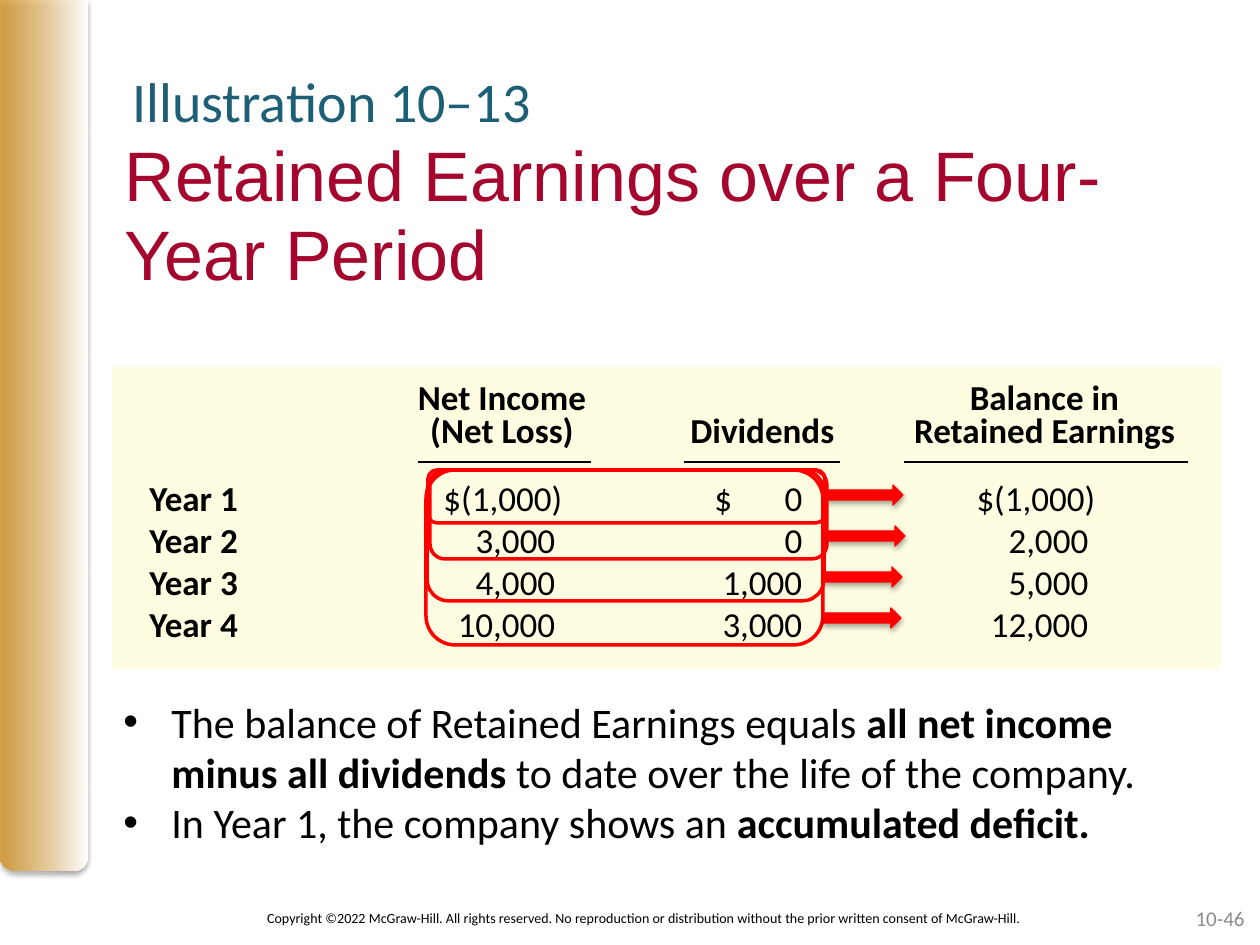
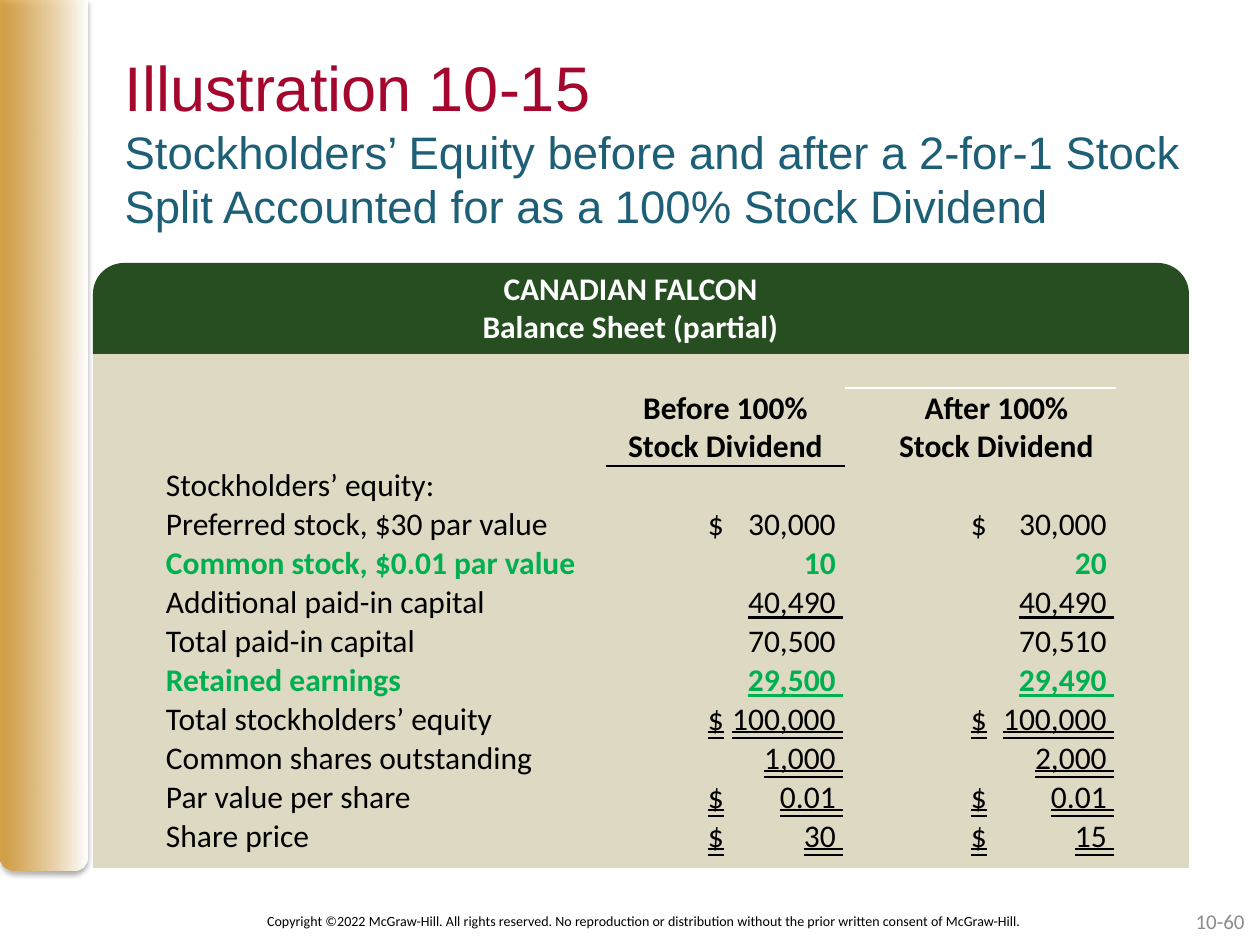
from lxml.etree import SubElement
from pptx import Presentation
from pptx.dml.color import RGBColor
from pptx.enum.shapes import MSO_CONNECTOR, MSO_SHAPE
from pptx.enum.text import MSO_ANCHOR, MSO_AUTO_SIZE, MSO_UNDERLINE, PP_ALIGN
from pptx.oxml.ns import qn
from pptx.util import Pt

PX = 7257  # EMU per px, 126 px to the inch
BLACK = RGBColor(0x00, 0x00, 0x00)
WHITE = RGBColor(0xFF, 0xFF, 0xFF)
CRIMSON = RGBColor(0xA5, 0x06, 0x2D)
TEAL = RGBColor(0x1D, 0x5F, 0x76)
GOLD = RGBColor(0xD4, 0x93, 0x23)
GREY = RGBColor(0x8C, 0x8C, 0x8C)
CREAM = RGBColor(0xFE, 0xFD, 0xD7)
RED = RGBColor(0xFF, 0x00, 0x00)
SAND = RGBColor(0xDD, 0xD9, 0xC3)
FOREST = RGBColor(0x26, 0x4E, 0x21)
GREEN = RGBColor(0x00, 0xB0, 0x50)
NO_STYLE = "{2D5ABB26-0587-4C30-8999-92F81FD0307C}"
COPYRIGHT = ("Copyright ©2022 McGraw-Hill. All rights reserved. No reproduction or "
             "distribution without the prior written consent of McGraw-Hill.")


def write(frame, lines, size, color=BLACK, bold=False, align=PP_ALIGN.LEFT,
          spacing=None, tabs=()):
    """Put one paragraph per line; text between ** marks has the other weight."""
    frame.word_wrap = True
    for i, line in enumerate(lines):
        paragraph = frame.add_paragraph() if i else frame.paragraphs[0]
        paragraph.alignment = align
        if spacing:
            paragraph.line_spacing = spacing
        if tabs:
            tab_list = SubElement(paragraph._p.get_or_add_pPr(), qn("a:tabLst"))
            for position, kind in tabs:
                SubElement(tab_list, qn("a:tab"), pos=str(position * PX), algn=kind)
        for part_no, part in enumerate(line.split("**")):
            if part:
                run = paragraph.add_run()
                run.text = part
                run.font.name = "Calibri"
                run.font.size = Pt(size)
                run.font.color.rgb = color
                run.font.bold = bold != (part_no % 2 == 1)


def add_box(slide, preset, box, fill=None, line=None, width=0.75, shadow=False):
    shape = slide.shapes.add_shape(preset, *(n * PX for n in box))
    shape.shadow.inherit = False
    if fill is None:
        shape.fill.background()
    else:
        shape.fill.solid()
        shape.fill.fore_color.rgb = fill
    if line is None:
        shape.line.fill.background()
    else:
        shape.line.color.rgb = line
        shape.line.width = Pt(width)
    if shadow:
        effects = shape._element.spPr.find(qn("a:effectLst"))
        outer = SubElement(effects, qn("a:outerShdw"), blurRad="40000", dist="23000",
                           dir="5400000", rotWithShape="0")
        shade = SubElement(outer, qn("a:srgbClr"), val="000000")
        SubElement(shade, qn("a:alpha"), val="35000")
    return shape


prs = Presentation()
prs.slide_width, prs.slide_height = 1260 * PX, 945 * PX

# Shared frame: side band, title, copyright line and page number
pages = [
    ("Retained Earnings over a Four-Year Period", (112, 131, 1134, 158),
     [(40, CRIMSON)], 0.95, "10-46", 893),
    ("Illustration 10-15\vStockholders’ Equity before and after a 2-for-1 Stock "
     "Split Accounted for as a 100% Stock Dividend", (112, 42, 1148, 208),
     [(36, CRIMSON), (26, TEAL)], 1.0, "10-60", 896),
]
slides = []
for title_text, title_box, title_looks, title_spacing, page_number, footer_top in pages:
    slide = prs.slides.add_slide(prs.slide_layouts[5])
    slides.append(slide)

    band = add_box(slide, MSO_SHAPE.ROUND_2_SAME_RECTANGLE, (0, 0, 87, 871), shadow=True)
    band.adjustments[0], band.adjustments[1] = 0, 0.17
    band.fill.gradient()
    band.fill.gradient_angle = 0
    for stop, color in zip(band.fill.gradient_stops, (GOLD, WHITE)):
        stop.color.rgb = color
    gold_stop = band._element.spPr.find(".//" + qn("a:srgbClr"))
    SubElement(gold_stop, qn("a:alpha"), val="80000")

    title = slide.shapes.title
    title.left, title.top, title.width, title.height = (n * PX for n in title_box)
    title.text_frame.text = title_text
    title.text_frame.word_wrap = True
    title.text_frame.auto_size = MSO_AUTO_SIZE.NONE
    title.text_frame.vertical_anchor = MSO_ANCHOR.TOP
    heading = title.text_frame.paragraphs[0]
    heading.alignment = PP_ALIGN.LEFT
    heading.line_spacing = title_spacing
    for run, (size, color) in zip(heading.runs, title_looks):
        run.font.name = "Arial"
        run.font.size = Pt(size)
        run.font.color.rgb = color

    for text, left, width, size, color, align in [
            (COPYRIGHT, 194, 901, 8, BLACK, PP_ALIGN.CENTER),
            (page_number, 963, 294, 12, GREY, PP_ALIGN.RIGHT)]:
        footer = slide.shapes.add_textbox(left * PX, footer_top * PX, width * PX, 50 * PX)
        footer.text_frame.vertical_anchor = MSO_ANCHOR.MIDDLE
        write(footer.text_frame, [text], size, color, align=align)

earnings_slide, equity_slide = slides

# Retained earnings over four years
kicker = earnings_slide.shapes.add_textbox(120 * PX, 60 * PX, 677 * PX, 56 * PX)
write(kicker.text_frame, ["Illustration 10–13"], 32, TEAL)

panel = add_box(earnings_slide, MSO_SHAPE.ROUNDED_RECTANGLE, (112, 367, 1109, 302), CREAM)
panel.adjustments[0] = 0
cream = panel._element.spPr.find(".//" + qn("a:srgbClr"))
SubElement(cream, qn("a:alpha"), val="75000")

column_heads = [
    (["Net Income", "(Net Loss)"], (393, 377, 218, 81), PP_ALIGN.CENTER, (418, 591)),
    (["Dividends"], (678, 410, 218, 48), PP_ALIGN.LEFT, (684, 840)),
    (["Balance in", "Retained Earnings"], (900, 377, 289, 81), PP_ALIGN.CENTER, (904, 1188)),
]
for lines, box, align, (rule_start, rule_end) in column_heads:
    head = earnings_slide.shapes.add_textbox(*(n * PX for n in box))
    write(head.text_frame, lines, 20, bold=True, align=align, spacing=0.8)
    rule = earnings_slide.shapes.add_connector(
        MSO_CONNECTOR.STRAIGHT, rule_start * PX, 462 * PX, rule_end * PX, 462 * PX)
    rule.line.color.rgb = BLACK
    rule.line.width = Pt(0.75)
    SubElement(rule._element.spPr, qn("a:effectLst"))

years = [
    ("$(1,000)", "$\t0", "$(1,000)"),
    ("3,000", "0", "2,000"),
    ("4,000", "1,000", "5,000"),
    ("10,000", "3,000", "12,000"),
]
for i, (income, dividends, balance) in enumerate(years):
    hang = 7 if ")" in income else 0  # closing bracket stands outside the column
    tabs = [(406 + hang, "r"), (653, "r"), (939 + hang, "r")]
    if "$" in dividends:
        tabs.insert(1, (565, "l"))
    year = earnings_slide.shapes.add_textbox(137 * PX, (470 + 42 * i) * PX, 1082 * PX, 55 * PX)
    write(year.text_frame, [f"**Year {i + 1}**\t{income}\t{dividends}\t{balance}"], 20, tabs=tabs)

remarks = earnings_slide.shapes.add_textbox(111 * PX, 690 * PX, 1091 * PX, 165 * PX)
write(remarks.text_frame, [
    "The balance of Retained Earnings equals **all net income minus all dividends** "
    "to date over the life of the company.",
    "In Year 1, the company shows an **accumulated deficit.**"], 24)
for paragraph in remarks.text_frame.paragraphs:
    properties = paragraph._p.get_or_add_pPr()
    properties.set("marL", str(48 * PX))
    properties.set("indent", str(-48 * PX))
    SubElement(properties, qn("a:buFont"), typeface="Arial")
    SubElement(properties, qn("a:buChar"), char="•")

for i, (frame_left, frame_height) in enumerate([(428, 53), (430, 89), (427, 131), (426, 175)]):
    add_box(earnings_slide, MSO_SHAPE.ROUNDED_RECTANGLE,
            (frame_left, 470, 397, frame_height), line=RED, width=2)
    add_box(earnings_slide, MSO_SHAPE.RIGHT_ARROW,
            (frame_left + 398, 485 + 41 * i, 77, 20), RED, RED, shadow=True)

# Stockholders' equity before and after the split
add_box(equity_slide, MSO_SHAPE.RECTANGLE, (93, 352, 1096, 516), SAND)
banner = add_box(equity_slide, MSO_SHAPE.ROUND_2_SAME_RECTANGLE, (93, 263, 1096, 91), FOREST)
banner.adjustments[0] = 0.34

SINGLE, DOUBLE = MSO_UNDERLINE.SINGLE_LINE, MSO_UNDERLINE.DOUBLE_LINE
equity_rows = [
    ("Stockholders’ equity:", "", "", None),
    ("Preferred stock, $30 par value", "$\t30,000", "$\t30,000", None),
    ("Common stock, $0.01 par value", "\t10", "\t20", None),
    ("Additional paid-in capital", "\t40,490", "\t40,490", SINGLE),
    ("Total paid-in capital", "\t70,500", "\t70,510", None),
    ("Retained earnings", "\t29,500", "\t29,490", SINGLE),
    ("Total stockholders’ equity", "$\t100,000", "$\t100,000", DOUBLE),
    ("Common shares outstanding", "\t1,000", "\t2,000", DOUBLE),
    ("Par value per share", "$\t0.01", "$\t0.01", DOUBLE),
    ("Share price", "$\t30", "$\t15", DOUBLE),
]
changed = {"Common stock, $0.01 par value", "Retained earnings"}
BEFORE, GAP, AFTER = 1, 2, 3

sheet = equity_slide.shapes.add_table(
    len(equity_rows) + 1, 4, 165 * PX, 388 * PX, 951 * PX, 468 * PX).table
sheet.first_row = sheet.horz_banding = False
sheet._tbl.tblPr.find(qn("a:tableStyleId")).text = NO_STYLE
for column, width in zip(sheet.columns, (441, 239, 32, 239)):
    column.width = width * PX
for i, row in enumerate(sheet.rows):
    row.height = (39 if i else 78) * PX

for column, side, color in [(BEFORE, "a:lnB", "000000"), (GAP, "a:lnT", "FFFFFF"),
                            (AFTER, "a:lnT", "FFFFFF")]:
    border = SubElement(sheet.cell(0, column)._tc.get_or_add_tcPr(), qn(side), w="12700")
    SubElement(SubElement(border, qn("a:solidFill")), qn("a:srgbClr"), val=color)
for cell in sheet.iter_cells():
    cell.fill.background()
    cell.margin_left = cell.margin_right = cell.margin_top = PX
    cell.margin_bottom = 0
    cell.vertical_anchor = MSO_ANCHOR.BOTTOM

for column, moment in [(BEFORE, "Before"), (AFTER, "After")]:
    write(sheet.cell(0, column).text_frame, [f"{moment} 100%", "Stock Dividend"], 18,
          bold=True, align=PP_ALIGN.CENTER)
for i, (label, before, after, underline) in enumerate(equity_rows, start=1):
    highlight = label in changed
    color = GREEN if highlight else BLACK
    write(sheet.cell(i, 0).text_frame, [label], 18, color, highlight)
    for column, figure, dollar_at in [(BEFORE, before, 101), (AFTER, after, 93)]:
        if figure:
            frame = sheet.cell(i, column).text_frame
            write(frame, [f"\t**{figure} "], 18, color, tabs=[(dollar_at, "l"), (236, "r")])
            amount = frame.paragraphs[0].runs[1].font
            amount.bold = highlight
            amount.underline = underline

caption = equity_slide.shapes.add_textbox(178 * PX, 263 * PX, 905 * PX, 91 * PX)
write(caption.text_frame, ["CANADIAN FALCON", "Balance Sheet (partial)"], 18, WHITE,
      bold=True, align=PP_ALIGN.CENTER)

prs.save("out.pptx")
